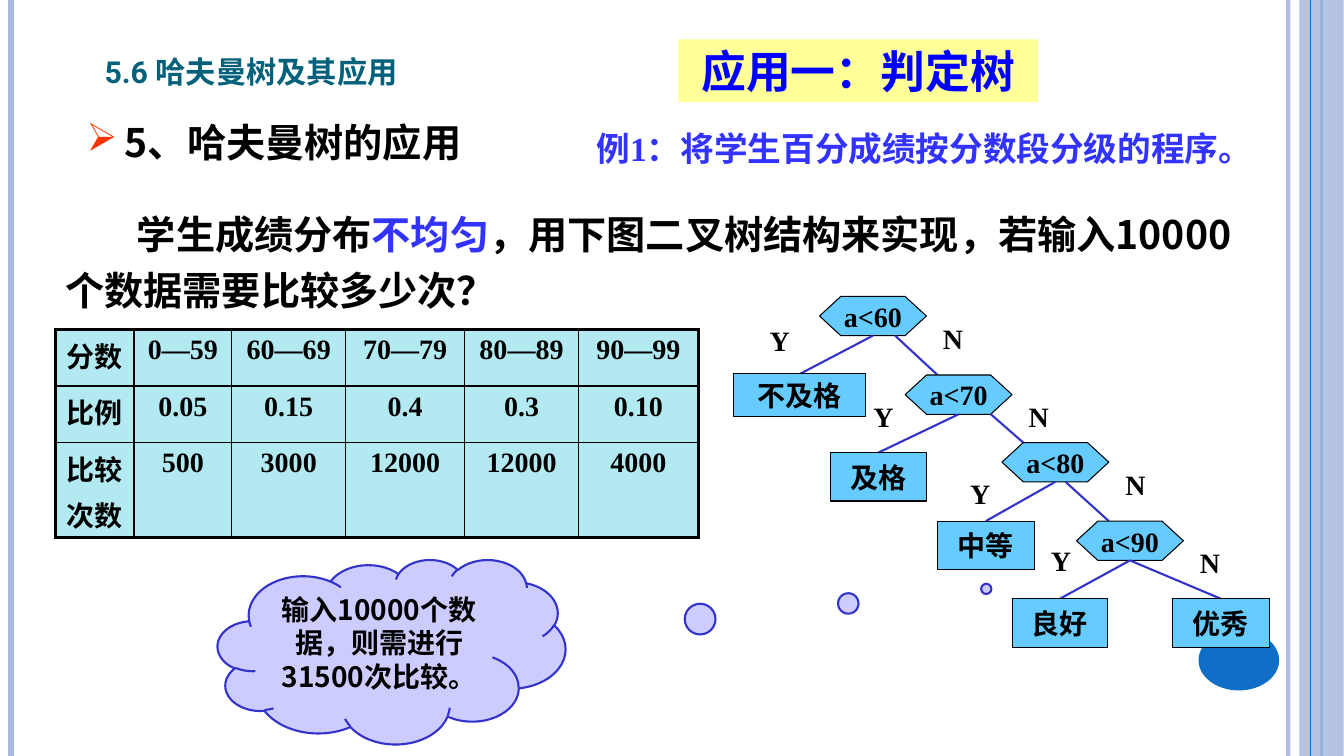
import pptx
import pptx.util
import pptx.oxml
import pptx.dml.color
import pptx.enum.shapes
import pptx.enum.text
from lxml import etree

C = {"black": "000000", "blue": "3333FF", "pure": "0000FF", "teal": "04617B",
     "yellow": "FFFF99", "node": "66CCFF", "edge": "3333CC", "cloud": "CCCCFF",
     "cell": "B3EAF2", "rail": "ABBBDF", "deep": "0F6FC6", "bullet": "FF3300",
     "white": "FFFFFF"}
SHAPE = pptx.enum.shapes.MSO_SHAPE
ALIGN = pptx.enum.text.PP_ALIGN
ANCHOR = pptx.enum.text.MSO_ANCHOR
CJK, SERIF = "Noto Sans CJK SC", "Times New Roman"
COLS, ROWS = 133.33, 75
NS = "http://schemas.openxmlformats.org/drawingml/2006/main"


def add_xml(parent, tag, **attrs):
    return etree.SubElement(parent, f"{{{NS}}}{tag}", attrs)


def put(obj, fmt):
    for name, value in fmt.items():
        setattr(obj, name, value)


class Deck:
    """A slide on a grid of COLS by ROWS square units."""

    def __init__(self):
        self.prs = pptx.Presentation()
        put(self.prs, {"slide_width": pptx.util.Inches(13.33),
                       "slide_height": pptx.util.Inches(7.5)})
        self.s = self.prs.slides.add_slide(self.prs.slide_layouts[6])
        self.paint(self.s.background.fill, "white")

    def x(self, n):
        return round(self.prs.slide_width * n / COLS)

    def y(self, n):
        return round(self.prs.slide_height * n / ROWS)

    def box(self, l, t, w, h):
        return self.x(l), self.y(t), self.x(w), self.y(h)

    def paint(self, fill, color, alpha=None):
        fill.solid()
        fill.fore_color.rgb = pptx.dml.color.RGBColor.from_string(C[color])
        if alpha:
            clr = fill._xPr.find(f".//{{{NS}}}srgbClr")
            add_xml(clr, "alpha", val=str(alpha * 1000))

    def fill_text(self, tf, paras, size=20, font=SERIF, color="black", caps=False,
                  bullet=None, indent=0, hang=0, frame={}, para={}):
        """Each paragraph is a text, or a list of (text, colour) runs."""
        put(tf, {"word_wrap": True, **frame})
        for i, runs in enumerate(paras):
            p = tf.paragraphs[0] if i == 0 else tf.add_paragraph()
            pPr = p._p.get_or_add_pPr()
            pPr.set("marL", str(self.x(hang)))
            pPr.set("indent", str(self.x(indent - hang)))
            if bullet:
                add_xml(add_xml(pPr, "buClr"), "srgbClr", val=C["bullet"])
                add_xml(pPr, "buChar", char=bullet)
            put(p, para)
            if i:
                p.space_before = pptx.util.Pt(4)
            for text, tint in [(runs, color)] if isinstance(runs, str) else runs:
                r = p.add_run()
                r.text = text
                put(r.font, {"size": pptx.util.Pt(size), "bold": True, "name": font})
                self.paint(r.font.fill, tint)
                rPr = r._r.get_or_add_rPr()
                add_xml(rPr, "ea", typeface=CJK)
                if caps:
                    rPr.set("cap", "small")

    def text(self, at, paras, **style):
        tb = self.s.shapes.add_textbox(*self.box(*at))
        self.fill_text(tb.text_frame, paras, **style)

    def shape(self, kind, at, fill, line=None, width=0.75, alpha=None, paras=(), **style):
        sp = self.s.shapes.add_shape(kind, *self.box(*at))
        sp.shadow.inherit = False
        self.paint(sp.fill, fill, alpha)
        if line:
            self.paint(sp.line.fill, line)
            sp.line.width = pptx.util.Pt(width)
        else:
            sp.line.fill.background()
        style = {"para": {"alignment": ALIGN.CENTER}, **style}
        self.fill_text(sp.text_frame, paras, **style)
        return sp

    def line(self, x1, y1, x2, y2, color="edge", width=1.5, alpha=None):
        cn = self.s.shapes.add_connector(pptx.enum.shapes.MSO_CONNECTOR.STRAIGHT,
                                         self.x(x1), self.y(y1), self.x(x2), self.y(y2))
        self.paint(cn.line.fill, color, alpha)
        cn.line.width = pptx.util.Pt(width)
        add_xml(cn._element.spPr, "effectLst")

    def border(self, tcPr, i, side, width):
        ln = etree.Element(f"{{{NS}}}ln{side}", w=str(pptx.util.Pt(width)))
        add_xml(add_xml(ln, "solidFill"), "srgbClr", val=C["black"])
        tcPr.insert(i, ln)

    def table(self, at, widths, heights, rows):
        tb = self.s.shapes.add_table(len(rows), len(widths), *self.box(*at)).table
        put(tb, {"first_row": False, "horz_banding": False})
        for col, w in zip(tb.columns, widths):
            col.width = self.x(w)
        for j, (row, h) in enumerate(zip(rows, heights)):
            tb.rows[j].height = self.y(h)
            for i, value in enumerate(row):
                cell = tb.cell(j, i)
                self.fill_text(cell.text_frame, value.split("\n"),
                               para={"alignment": ALIGN.CENTER})
                self.paint(cell.fill, "cell")
                outer = {"L": i == 0, "R": i == len(widths) - 1,
                         "T": j == 0, "B": j == len(rows) - 1}
                for n, (side, edge) in enumerate(outer.items()):
                    self.border(cell._tc.get_or_add_tcPr(), n, side, 2.25 if edge else 1)


def main():
    d = Deck()
    middle = {"vertical_anchor": ANCHOR.MIDDLE}
    node_frame = {**middle, "word_wrap": False}

    # Side rails and corner dot
    d.line(127.8, 0, 127.8, ROWS, "rail", 3, 93)
    d.line(1.1, 0, 1.1, ROWS, "rail", 4.5)
    d.line(131.1, 0, 131.1, ROWS, "deep", 1.5)
    d.shape(SHAPE.RECTANGLE, (128.9, 0, 4.4, ROWS), "rail", alpha=87)
    d.line(130, 0, 130, ROWS, "deep", 0.75)
    d.shape(SHAPE.OVAL, (118.9, 62.5, 8, 6), "deep")

    # Headings and question
    d.text((9.4, 3.4, 39.9, 6.1), ["5.6 哈夫曼树及其应用"], size=27, font="Roboto",
           color="teal", caps=True, frame={"vertical_anchor": ANCHOR.BOTTOM})
    d.text((7.6, 10.1, 45.7, 6.6), ["5、哈夫曼树的应用"], size=28, font=CJK,
           bullet="➢", hang=3.8, para={"line_spacing": 1.25})
    d.shape(SHAPE.RECTANGLE, (67.3, 3.9, 35.7, 6.2), "yellow", paras=["应用一：判定树"],
            size=32, font="Arial", color="pure", frame=middle)
    d.text((5.5, 19.4, 118.6, 12.3),
           [[("学生成绩分布", "black"), ("不均匀", "blue"),
             ("，用下图二叉树结构来实现，若输入10000个数据需要比较多少次？", "black")]],
           size=28, font=CJK, indent=7.1, para={"line_spacing": 1.2})
    d.text((51.5, 11.4, 75.7, 6.6), ["例1：将学生百分成绩按分数段分级的程序。"],
           size=24, color="blue", indent=6.7, para={"line_spacing": 1.2})

    # Decision tree: test, left, top, start and end of the N branch
    tests = [("a<60", 81.3, 29.4, 88.8, 93), ("a<70", 89.8, 37.2, 98.3, 101.5),
             ("a<80", 99.4, 43.9, 105.7, 110), ("a<90", 106.8, 51.7, 112.1, 121.1)]
    # Leaf, left, top, width, height
    leaves = [("不及格", 72.8, 37.1, 13.1, 4.2), ("及格", 82.4, 44.9, 9.5, 4.8),
              ("中等", 93, 51.7, 9.6, 4.8), ("良好", 100.4, 59.4, 9.5, 4.8),
              ("优秀", 116.3, 59.4, 9.6, 4.8)]
    node_w, node_h = 10.6, 3.9
    n_ends = [top for _, _, top, *_ in tests[1:]] + [leaves[-1][2]]
    for (test, left, top, n_from, n_to), leaf, n_end in zip(tests, leaves, n_ends):
        bottom = top + node_h
        d.shape(SHAPE.FLOWCHART_PREPARATION, (left, top, node_w, node_h), "node", "black",
                paras=[test], frame=node_frame)
        d.line(n_from, bottom, n_to, n_end)
        d.line(left + node_w / 2, bottom, leaf[1] + leaf[3] / 2, leaf[2])
    for name, *at in leaves:
        d.shape(SHAPE.FLOWCHART_PROCESS, at, "node", "black", paras=[name], frame=node_frame)

    # Branch labels
    for label, width, spots in [
            ("Y", 4.3, [(75.2, 31.6), (85.5, 39.1), (95.1, 46.8), (103.1, 53.4)]),
            ("N", 5.3, [(91.9, 31.4), (100.4, 39.1), (110, 45.9), (117.4, 53.6)])]:
        for left, top in spots:
            d.text((left, top, width, 4.3), [label], para={"alignment": ALIGN.CENTER})

    # Conclusion
    cloud = d.shape(SHAPE.CLOUD_CALLOUT, (21.6, 55.5, 34.5, 18.3), "cloud", "edge", 1.5,
                    paras=["输入10000个数据，则需进行31500次比较。"], font=CJK,
                    frame={"vertical_anchor": ANCHOR.TOP})
    cloud.adjustments[0], cloud.adjustments[1] = 1.71, -0.34

    # Score table
    d.table((5.5, 32.7, 63.7, 20.6), [7.8, 9.7, 11.3, 11.8, 11.3, 11.9], [5.6, 5.6, 9.4],
            [["分数", "0—59", "60—69", "70—79", "80—89", "90—99"],
             ["比例", "0.05", "0.15", "0.4", "0.3", "0.10"],
             ["比较\n次数", "500", "3000", "12000", "12000", "4000"]])

    d.prs.save("out.pptx")


if __name__ == "__main__":
    main()
